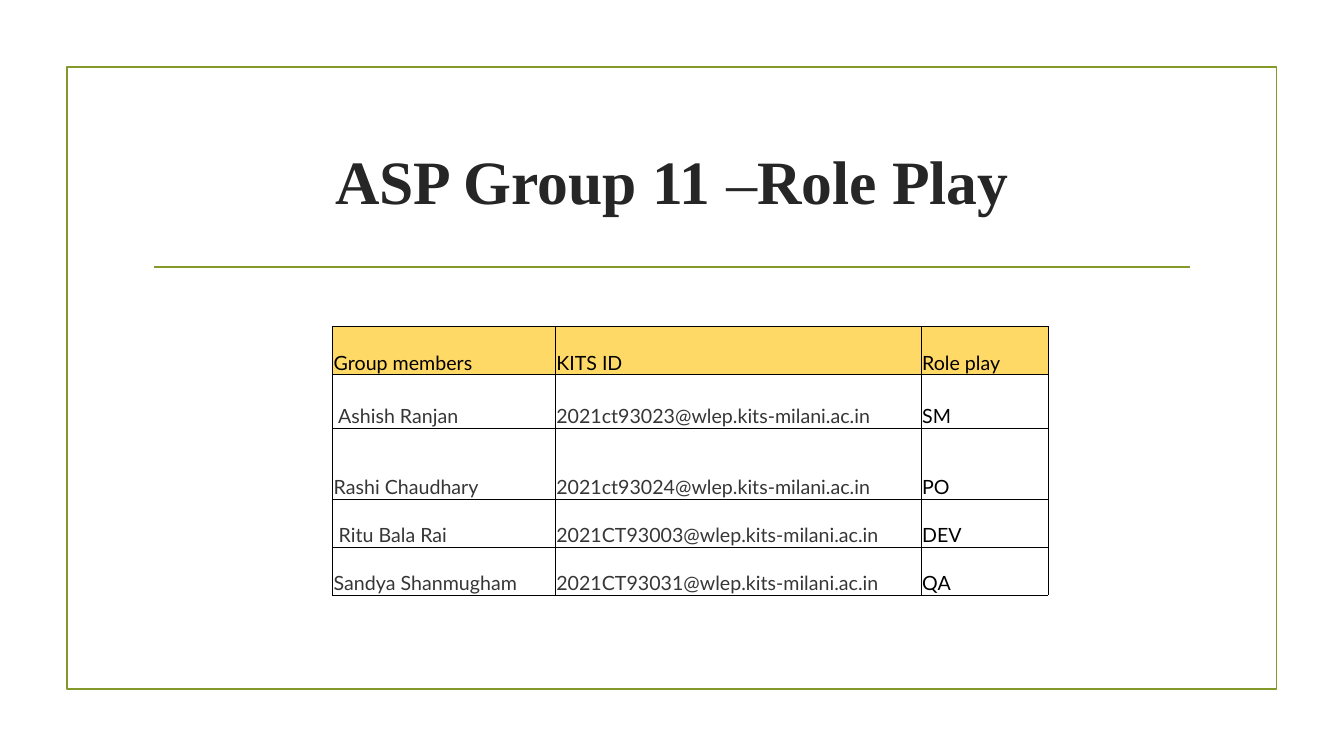
from lxml import etree
from pptx import Presentation
from pptx.dml.color import RGBColor
from pptx.enum.shapes import MSO_CONNECTOR, MSO_SHAPE
from pptx.enum.text import MSO_ANCHOR, PP_ALIGN
from pptx.oxml import parse_xml
from pptx.oxml.ns import nsdecls, qn
from pptx.util import Cm, Pt


def rgb(value):
    return RGBColor.from_string(value)


def add_run(p, text, font, size, color, bold=False):
    r = p.add_run()
    r.text = text
    r.font.name = font
    r.font.size = Pt(size)
    r.font.bold = bold
    r.font.color.rgb = rgb(color)


GREEN = "83992A"

prs = Presentation()
prs.slide_width = Cm(33.87)
prs.slide_height = Cm(19.05)
s = prs.slides.add_slide(prs.slide_layouts[6])

frame = s.shapes.add_shape(MSO_SHAPE.RECTANGLE, Cm(1.69), Cm(1.69), Cm(30.48), Cm(15.67))
frame.shadow.inherit = False
frame.fill.background()
frame.line.color.rgb = rgb(GREEN)
frame.line.width = Pt(1.25)

rule = s.shapes.add_connector(MSO_CONNECTOR.STRAIGHT, Cm(3.89), Cm(6.73), Cm(30), Cm(6.73))
rule.line.color.rgb = rgb(GREEN)
rule.line.width = Pt(1.25)
etree.SubElement(rule._element.spPr, qn("a:effectLst"))

title = s.shapes.add_textbox(Cm(3.6), Cm(2.72), Cm(26.67), Cm(3.63))
tf = title.text_frame
tf.word_wrap = True
tf.vertical_anchor = MSO_ANCHOR.MIDDLE
p = tf.paragraphs[0]
p.alignment = PP_ALIGN.CENTER
for text, bold in [("ASP Group 11 ", True), ("–", False), ("Role Play", True)]:
    add_run(p, text, "Times New Roman", 44, "262626", bold)

members = [
    ("Group members", "KITS ID", "Role play"),
    (" Ashish Ranjan", "2021ct93023@wlep.kits-milani.ac.in", "SM"),
    ("Rashi Chaudhary", "2021ct93024@wlep.kits-milani.ac.in", "PO"),
    (" Ritu Bala Rai", "2021CT93003@wlep.kits-milani.ac.in", "DEV"),
    ("Sandya Shanmugham", "2021CT93031@wlep.kits-milani.ac.in", "QA"),
]
widths = [5.61, 9.22, 3.2]
heights = [1.21, 1.35, 1.78, 1.21, 1.21]

table = s.shapes.add_table(
    len(members), len(widths), Cm(8.38), Cm(8.23), Cm(sum(widths)), Cm(sum(heights))
).table
table.first_row = False
table.horz_banding = False
for column, width in zip(table.columns, widths):
    column.width = Cm(width)

for i, (values, height) in enumerate(zip(members, heights)):
    table.rows[i].height = Cm(height)
    for j, text in enumerate(values):
        cell = table.cell(i, j)
        cell.vertical_anchor = MSO_ANCHOR.BOTTOM
        cell.margin_left = cell.margin_right = cell.margin_top = Cm(0.03)
        cell.margin_bottom = Cm(0)
        tcPr = cell._tc.get_or_add_tcPr()
        for side in ("lnL", "lnR", "lnT", "lnB"):
            tcPr.append(parse_xml(
                f'<a:{side} {nsdecls("a")} w="6350"><a:solidFill>'
                f'<a:srgbClr val="000000"/></a:solidFill></a:{side}>'
            ))
        if i == 0:
            cell.fill.solid()
            cell.fill.fore_color.rgb = rgb("FFD966")
        else:
            cell.fill.background()
        color = "000000" if i == 0 or j == 2 else "363636"
        add_run(cell.text_frame.paragraphs[0], text, "Lato", 14, color)

prs.save("out.pptx")
